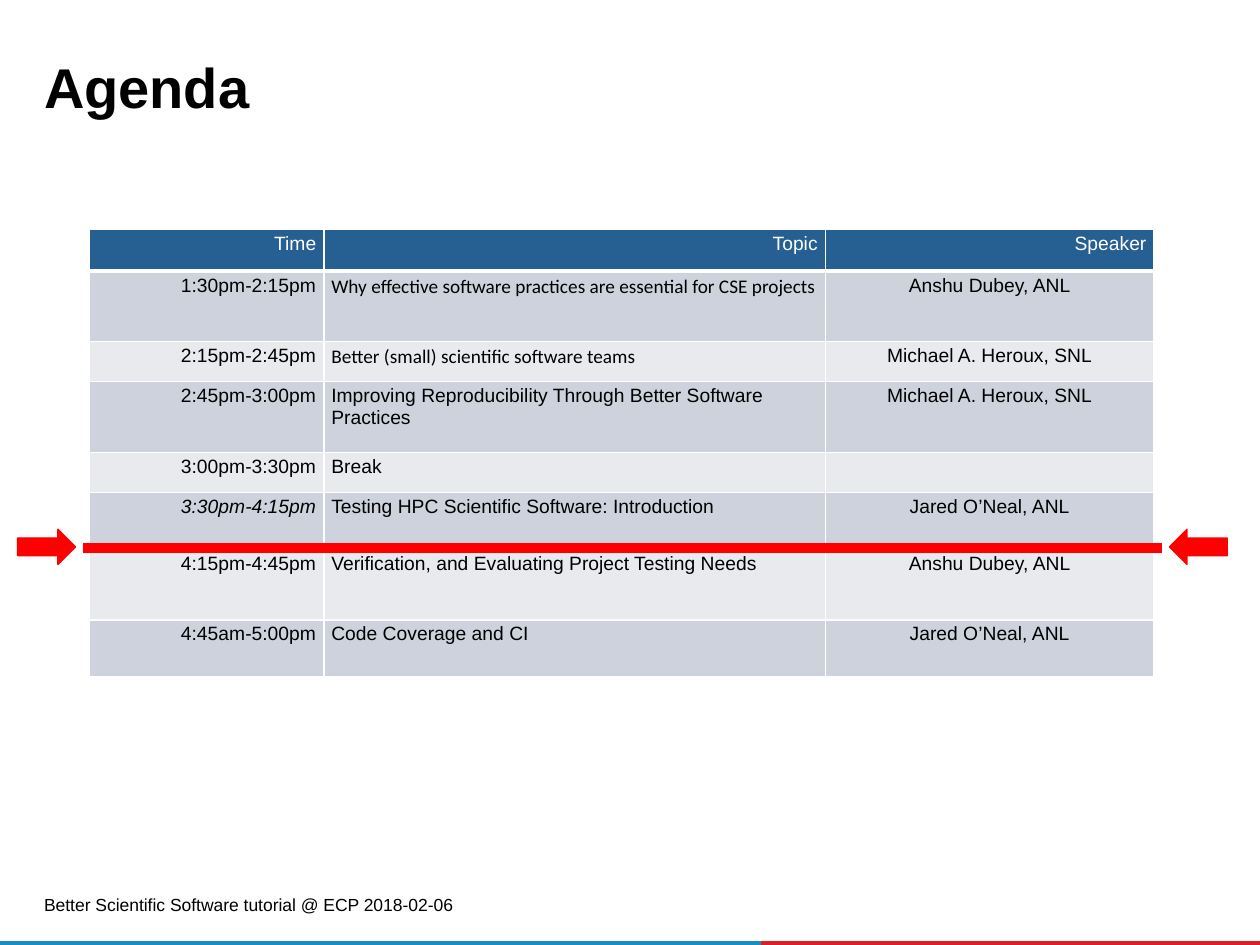
from dataclasses import dataclass

from lxml.etree import SubElement
from pptx import Presentation
from pptx.dml.color import RGBColor
from pptx.enum.shapes import MSO_CONNECTOR, MSO_SHAPE
from pptx.enum.text import MSO_ANCHOR, PP_ALIGN
from pptx.oxml.ns import qn
from pptx.util import Inches, Pt

COLUMNS, ROWS = 100, 75
SLIDE_WIDTH, SLIDE_HEIGHT = Inches(10), Inches(7.5)

COLUMN_WIDTHS = [18.6, 39.8, 26.1]
ROW_HEIGHTS = [3.3, 5.6, 3.2, 5.6, 3.2, 4.5, 5.6, 4.5]
ALIGNMENTS = [PP_ALIGN.RIGHT, PP_ALIGN.LEFT, PP_ALIGN.CENTER]
HEADINGS = ["Time", "Topic", "Speaker"]
SESSIONS = [
    ["1:30pm-2:15pm", "Why effective software practices are essential for CSE projects", "Anshu Dubey, ANL"],
    ["2:15pm-2:45pm", "Better (small) scientific software teams", "Michael A. Heroux, SNL"],
    ["2:45pm-3:00pm", "Improving Reproducibility Through Better Software Practices", "Michael A. Heroux, SNL"],
    ["3:00pm-3:30pm", "Break", ""],
    ["3:30pm-4:15pm", "Testing HPC Scientific Software: Introduction", "Jared O’Neal, ANL"],
    ["4:15pm-4:45pm", "Verification, and Evaluating Project Testing Needs", "Anshu Dubey, ANL"],
    ["4:45am-5:00pm", "Code Coverage and CI", "Jared O’Neal, ANL"],
]
CALIBRI_TOPIC_ROWS = (1, 2)
ITALIC_TIME_ROW = 5


@dataclass
class Box:
    left: float
    top: float
    width: float
    height: float

    def place(self):
        return (across(self.left), down(self.top), across(self.width), down(self.height))


def across(columns):
    return round(SLIDE_WIDTH * columns / COLUMNS)


def down(rows):
    return round(SLIDE_HEIGHT * rows / ROWS)


def color(value):
    return RGBColor.from_string(value)


def style_font(paragraph, size, value, name="Arial"):
    paragraph.font.name = name
    paragraph.font.size = Pt(size)
    paragraph.font.color.rgb = color(value)


def set_margins(holder, horizontal, vertical):
    holder.margin_left = holder.margin_right = Inches(horizontal)
    holder.margin_top = holder.margin_bottom = Inches(vertical)


def add_filled_shape(shapes, kind, box, value):
    shape = shapes.add_shape(kind, *box.place())
    shape.shadow.inherit = False
    shape.fill.solid()
    shape.fill.fore_color.rgb = color(value)
    shape.line.fill.background()
    return shape


def add_text(slide, box, text, size, anchor):
    frame = slide.shapes.add_textbox(*box.place()).text_frame
    frame.word_wrap = True
    frame.vertical_anchor = anchor
    set_margins(frame, 0.05, 0.05)
    paragraph = frame.paragraphs[0]
    paragraph.text = text
    style_font(paragraph, size, "000000")
    return paragraph


def add_title(slide, box):
    paragraph = add_text(slide, box, "Agenda", 32, MSO_ANCHOR.TOP)
    paragraph.line_spacing = 0.85
    paragraph.font.bold = True


def add_footer(slide, box):
    add_text(slide, box, "Better Scientific Software tutorial @ ECP 2018-02-06", 10, MSO_ANCHOR.MIDDLE)


def add_bottom_band(slide, box):
    split = 60.4
    band = slide.shapes.add_group_shape().shapes
    add_filled_shape(band, MSO_SHAPE.RECTANGLE,
                     Box(box.left + split, box.top, box.width - split, box.height), "DA1F28")
    add_filled_shape(band, MSO_SHAPE.RECTANGLE, Box(box.left, box.top, split, box.height), "1B8DC3")


def set_borders(cell, bottom_width):
    properties = cell._tc.get_or_add_tcPr()
    for side, width in (("L", 1), ("R", 1), ("T", 1), ("B", bottom_width)):
        line = SubElement(properties, qn(f"a:ln{side}"), w=str(Pt(width)))
        SubElement(SubElement(line, qn("a:solidFill")), qn("a:srgbClr"), val="FFFFFF")


def fill_cell(cell, text, row, column):
    is_header = row == 0
    set_borders(cell, 3 if is_header else 1)
    cell.fill.solid()
    cell.fill.fore_color.rgb = color("266092" if is_header else ("E8EAEE", "CDD2DC")[row % 2])
    set_margins(cell, 0.06, 0.03)
    paragraph = cell.text_frame.paragraphs[0]
    paragraph.text = text
    paragraph.alignment = PP_ALIGN.RIGHT if is_header else ALIGNMENTS[column]
    name = "Calibri" if column == 1 and row in CALIBRI_TOPIC_ROWS else "Arial"
    style_font(paragraph, 11, "FFFFFF" if is_header else "000000", name)
    paragraph.font.bold = False
    paragraph.font.italic = column == 0 and row == ITALIC_TIME_ROW


def add_agenda(slide, box):
    entries = [HEADINGS] + SESSIONS
    table = slide.shapes.add_table(len(entries), len(HEADINGS), *box.place()).table
    for column, width in zip(table.columns, COLUMN_WIDTHS):
        column.width = across(width)
    for row, height in zip(table.rows, ROW_HEIGHTS):
        row.height = down(height)
    for row, entry in enumerate(entries):
        for column, text in enumerate(entry):
            fill_cell(table.cell(row, column), text, row, column)


def add_marker(slide, box):
    red = "FF0000"
    arrow_width, gap = 4.6, 0.6
    right = box.left + box.width
    middle = down(box.top + box.height / 2 + 0.1)
    marker = slide.shapes.add_group_shape().shapes
    line = marker.add_connector(MSO_CONNECTOR.STRAIGHT, across(box.left + arrow_width + gap), middle,
                                across(right - arrow_width - gap), middle)
    line.line.color.rgb = color(red)
    line.line.width = Pt(6)
    SubElement(line._element.spPr, qn("a:effectLst"))
    for left, rotation in ((box.left, 0), (right - arrow_width, 180)):
        arrow = add_filled_shape(marker, MSO_SHAPE.RIGHT_ARROW,
                                 Box(left, box.top, arrow_width, box.height), red)
        arrow.rotation = rotation
        arrow.line.color.rgb = color(red)
        arrow.line.width = Pt(0.75)


def main():
    presentation = Presentation()
    presentation.slide_width, presentation.slide_height = SLIDE_WIDTH, SLIDE_HEIGHT
    slide = presentation.slides.add_slide(presentation.slide_layouts[6])
    add_bottom_band(slide, Box(0, 74.7, 100, 0.3))
    add_footer(slide, Box(3, 70.5, 35.2, 2.5))
    add_title(slide, Box(3, 4.5, 93.3, 5.6))
    add_agenda(slide, Box(7.1, 18.2, sum(COLUMN_WIDTHS), sum(ROW_HEIGHTS)))
    add_marker(slide, Box(1.4, 42, 96, 2.8))
    presentation.save("out.pptx")


if __name__ == "__main__":
    main()
